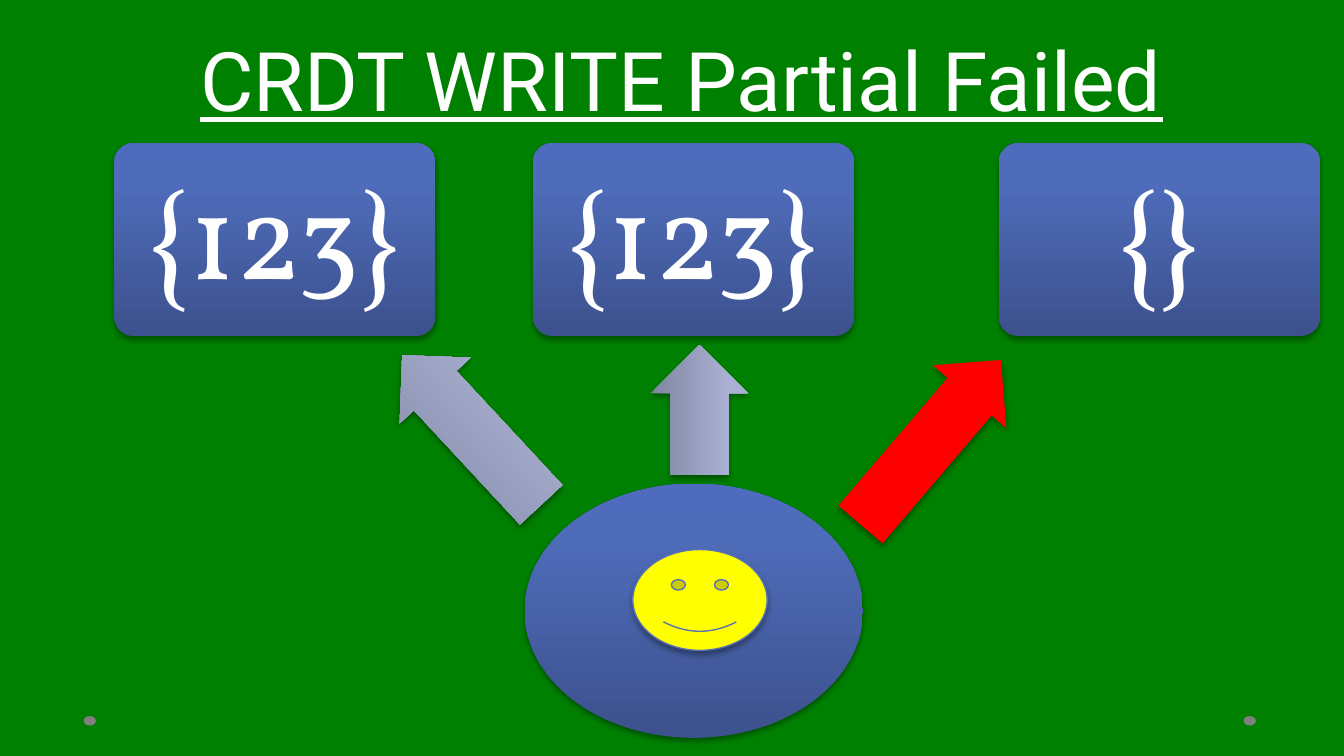
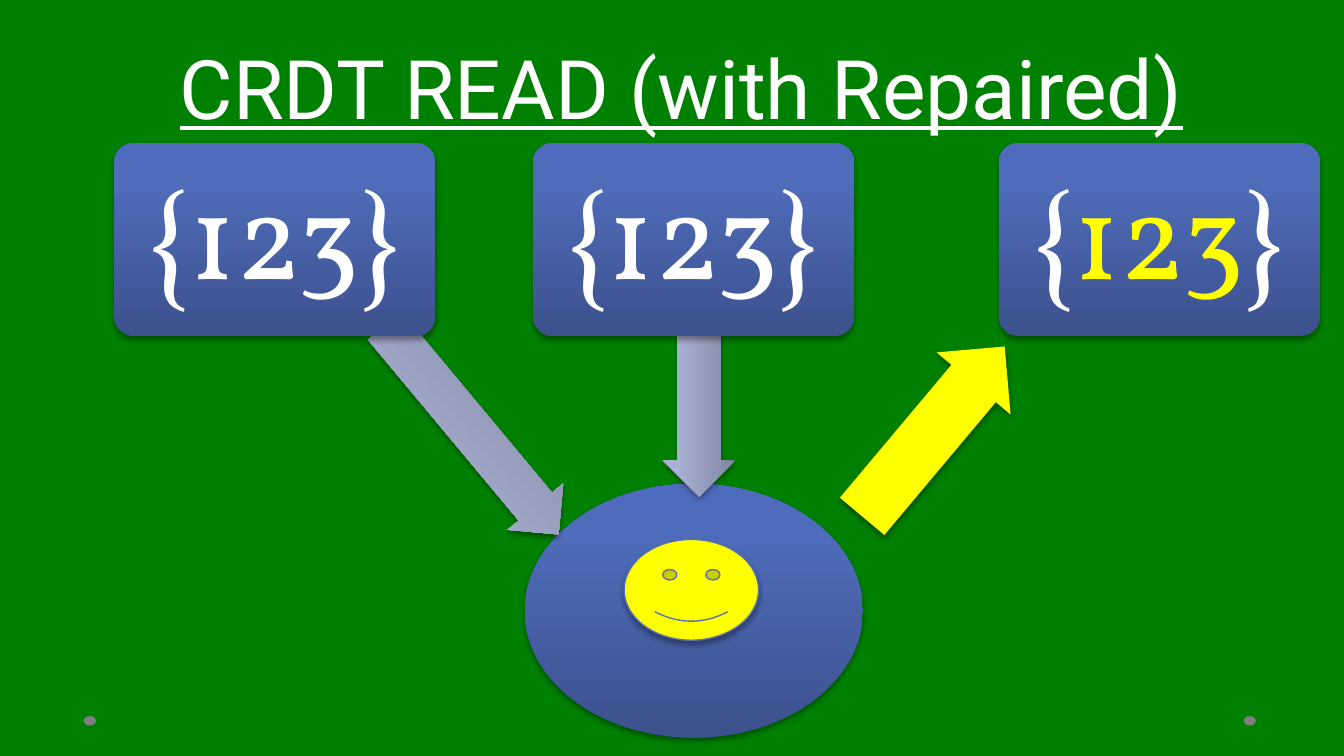
from lxml.etree import SubElement
from pptx import Presentation
from pptx.dml.color import RGBColor
from pptx.enum.shapes import MSO_SHAPE as Kind
from pptx.enum.text import MSO_ANCHOR as Anchor, PP_ALIGN as Align
from pptx.oxml.ns import qn
from pptx.util import Pt

GREEN = RGBColor(0x00, 0x80, 0x00)
GREY = RGBColor(0x7F, 0x7F, 0x7F)
WHITE = RGBColor(0xFF, 0xFF, 0xFF)
RED = RGBColor(0xFF, 0x00, 0x00)
YELLOW = RGBColor(0xFF, 0xFF, 0x00)
EDGE = RGBColor(0x5A, 0x72, 0xB1)
BLUES = [(0, RGBColor(0x3C, 0x51, 0x8D)), (80, RGBColor(0x4F, 0x6C, 0xBA)),
         (100, RGBColor(0x4E, 0x6B, 0xBD))]
MISTS = [(0, RGBColor(0x80, 0x86, 0xA0)), (80, RGBColor(0xA9, 0xB0, 0xD3)),
         (100, RGBColor(0xA9, 0xB1, 0xD5))]


class Deck:
    """Holds the style and the current slide, and draws each kind of element."""

    def __init__(self):
        self.file = Presentation()
        self.file.slide_width, self.file.slide_height = Pt(720), Pt(405)
        self.slide = None

    def page(self, title, top):
        self.slide = self.file.slides.add_slide(self.file.slide_layouts[6])
        paint = self.slide.background.fill
        paint.solid()
        paint.fore_color.rgb = GREEN
        for left in (666.2, 44.8):
            self.shape(Kind.OVAL, left, 383.6, 6.6, 5.1, GREY, shade=False)
        self.text([(title, WHITE)], 10.1, top, 709.9, 54.7, font="Roboto", size=44,
                  anchor=Anchor.BOTTOM, space=1.32, pad=(7.2, 3.6), under=True)

    def text(self, runs, left, top, width, height, *, font, size, anchor, space, pad,
             under=None):
        box = self.slide.shapes.add_textbox(Pt(left), Pt(top), Pt(width), Pt(height))
        frame = box.text_frame
        frame.word_wrap = True
        frame.vertical_anchor = anchor
        frame.margin_left = frame.margin_right = Pt(pad[0])
        frame.margin_top = frame.margin_bottom = Pt(pad[1])
        para = frame.paragraphs[0]
        para.alignment, para.line_spacing = Align.CENTER, space
        for words, color in runs:
            run = para.add_run()
            run.text = words
            run.font.name, run.font.size = font, Pt(size)
            run.font.underline = under
            run.font.color.rgb = color

    def shape(self, kind, left, top, width, height, fill, shade=True):
        item = self.slide.shapes.add_shape(kind, Pt(left), Pt(top), Pt(width), Pt(height))
        item.line.fill.background()
        if isinstance(fill, RGBColor):
            item.fill.solid()
            item.fill.fore_color.rgb = fill
        else:
            self.blend(item, fill)
        item.shadow.inherit = False
        if shade:
            self.shade(item)
        return item

    def blend(self, item, stops):
        item.fill.gradient()
        item.fill.gradient_angle = 90
        group = next(item.element.spPr.iter(qn("a:gsLst")))
        for old in list(group):
            group.remove(old)
        for place, color in stops:
            stop = SubElement(group, qn("a:gs"), pos=str(place * 1000))
            SubElement(stop, qn("a:srgbClr"), val=str(color))

    def shade(self, item):
        effects = item.element.spPr.find(qn("a:effectLst"))
        cast = SubElement(effects, qn("a:outerShdw"), blurRad=str(Pt(3.1)),
                          dist=str(Pt(1.8)), dir="5400000", rotWithShape="0")
        color = SubElement(cast, qn("a:srgbClr"), val="000000")
        SubElement(color, qn("a:alpha"), val="35000")

    def arrow(self, mid, size, turn, fill):
        (x, y), (width, height) = mid, size
        item = self.shape(Kind.LEFT_ARROW, x - width / 2, y - height / 2,
                          width, height, fill)
        item.rotation = turn
        item.adjustments[0], item.adjustments[1] = 0.6, 0.5

    def node(self, left, runs):
        box = self.shape(Kind.ROUNDED_RECTANGLE, left, 76.8, 172.1, 103.3, BLUES)
        box.adjustments[0] = 0.1
        self.text(runs, left + 4, 79.8, 164, 97.3, font="Vollkorn", size=65,
                  anchor=Anchor.MIDDLE, space=0.9, pad=(10, 10))

    def face(self, left, top):
        item = self.shape(Kind.SMILEY_FACE, left, top, 72, 54, YELLOW)
        item.line.color.rgb = EDGE
        item.line.width = Pt(0.75)

    def flow(self, title, top, arrows, last, face):
        self.page(title, top)
        self.shape(Kind.OVAL, 281.1, 259.2, 181.1, 136.1, BLUES)
        full = [("{123}", WHITE)]
        for left, runs, arrow in zip((61.2, 285.5, 535.1), (full, full, last), arrows):
            self.arrow(*arrow)
            self.node(left, runs)
        self.face(*face)


def main():
    deck = Deck()
    west, north = (252.7, 230.4), (374.6, 219.6)
    deck.flow("CRDT WRITE Partial Failed", 17.3,
              [(west, (109.4, 51.8), 47.1, MISTS),
               (north, (69.8, 51.8), 90, MISTS),
               ((498.6, 236.9), (115.9, 51.8), 130.5, RED)],
              [("{}", WHITE)], (339, 294.4))
    deck.flow("CRDT READ (with Repaired)", 21.9,
              [(west, (145.5, 38.9), 230.2, MISTS),
               (north, (92.9, 38.9), 270, MISTS),
               ((500, 231.1), (118.8, 51.8), 130, YELLOW)],
              [("{", WHITE), ("123", YELLOW), ("}", WHITE)], (334.4, 289))
    deck.file.save("out.pptx")


if __name__ == "__main__":
    main()
